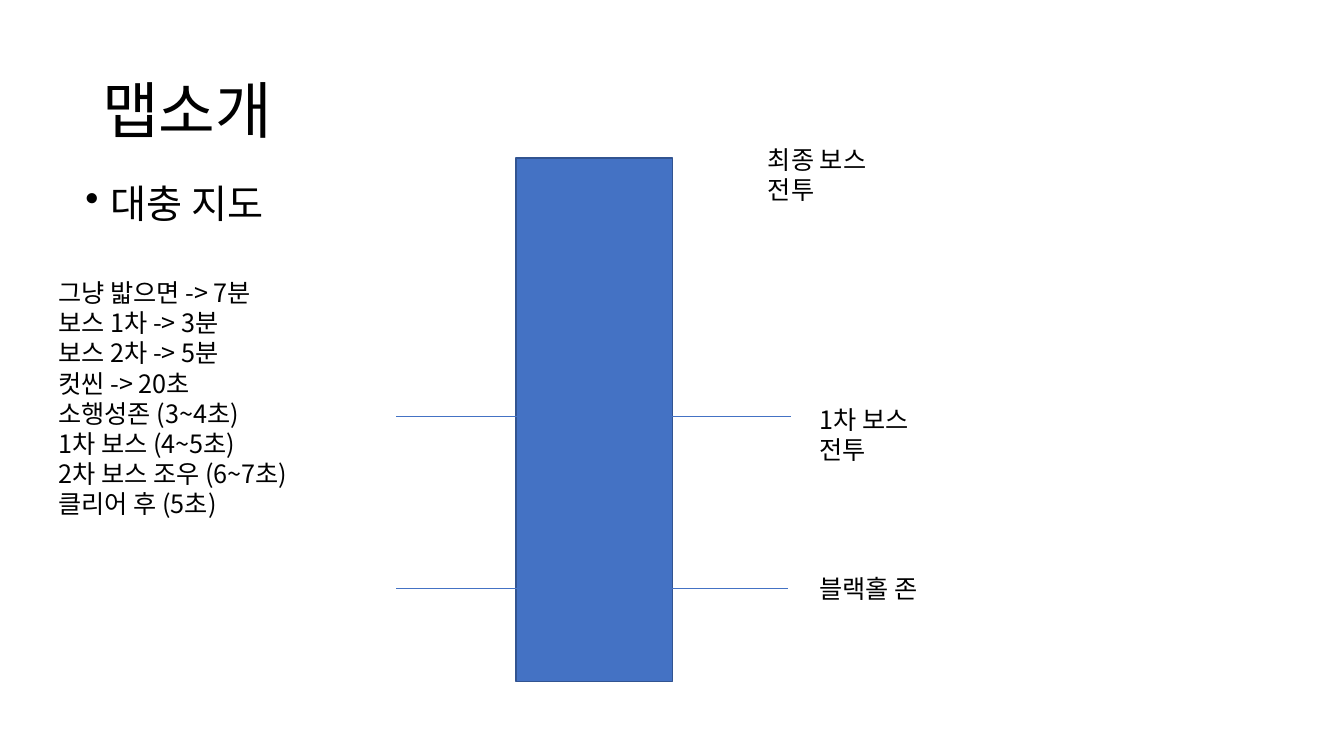
"""Build the map introduction slide."""
from lxml import etree
from pptx import Presentation
from pptx.dml.color import RGBColor
from pptx.enum.shapes import MSO_CONNECTOR, MSO_SHAPE
from pptx.enum.text import MSO_ANCHOR
from pptx.oxml.ns import qn
from pptx.util import Pt

STRAIGHT = MSO_CONNECTOR.STRAIGHT
RECTANGLE = MSO_SHAPE.RECTANGLE
TOP = MSO_ANCHOR.TOP
MIDDLE = MSO_ANCHOR.MIDDLE


def color(value):
    return RGBColor.from_string(value)


class MapSlide:
    font = "Noto Sans CJK KR"
    ink = "000000"
    accent = "4472C4"
    outline = "325491"

    def __init__(self, presentation):
        self.shapes = presentation.slides.add_slide(presentation.slide_layouts[6]).shapes

    def text(self, left, top, width, height, lines, size=18, anchor=TOP,
             spacing=None, before=None, bullet=None):
        box = self.shapes.add_textbox(Pt(left), Pt(top), Pt(width), Pt(height))
        frame = box.text_frame
        frame.word_wrap = True
        frame.vertical_anchor = anchor
        frame.text = "\n".join(lines)
        for paragraph in frame.paragraphs:
            paragraph.line_spacing = spacing
            paragraph.space_before = before
            paragraph.font.size = Pt(size)
            paragraph.font.color.rgb = color(self.ink)
            paragraph.font.name = self.font
            properties = paragraph._p.get_or_add_pPr()
            defaults = properties.find(qn("a:defRPr"))
            etree.SubElement(defaults, qn("a:ea"), typeface=self.font)
            if bullet:
                properties.set("marL", str(Pt(18)))
                properties.set("indent", str(-Pt(18)))
                mark = etree.Element(qn("a:buChar"), char=bullet)
                defaults.addprevious(mark)

    def bar(self, left, top, width, height):
        shape = self.shapes.add_shape(RECTANGLE, Pt(left), Pt(top), Pt(width), Pt(height))
        shape.shadow.inherit = False
        shape.fill.solid()
        shape.fill.fore_color.rgb = color(self.accent)
        shape.line.color.rgb = color(self.outline)
        shape.line.width = Pt(1)

    def level(self, left, right, y):
        connector = self.shapes.add_connector(STRAIGHT, Pt(left), Pt(y), Pt(right), Pt(y))
        connector.line.color.rgb = color(self.accent)
        connector.line.width = Pt(0.5)
        etree.SubElement(connector._element.spPr, qn("a:effectLst"))


def main():
    presentation = Presentation()
    presentation.slide_width = Pt(960)
    presentation.slide_height = Pt(540)
    slide = MapSlide(presentation)

    slide.text(66, 28.8, 828, 104.4, ["맵소개"], size=44, anchor=MIDDLE, spacing=0.9)
    slide.text(54, 128.2, 828, 342.7, ["대충 지도"], size=28, spacing=0.9,
               before=Pt(10), bullet="•")

    slide.bar(368.6, 113, 111.6, 373.7)
    for right, y in ((565.2, 297.4), (563, 420.5)):
        slide.level(283, right, y)

    for left, top, width, height, label in (
        (578.2, 285.1, 102.2, 51.1, "1차 보스 전투"),
        (541.4, 99.4, 102.2, 51.1, "최종 보스 전투"),
        (578.2, 406.1, 121, 28.8, "블랙홀 존"),
    ):
        slide.text(left, top, width, height, [label])

    slide.text(34.6, 194.4, 250.6, 203.8, [
        "그냥 밟으면 -> 7분",
        "보스 1차 -> 3분",
        "보스 2차 -> 5분",
        "컷씬 -> 20초",
        "소행성존 (3~4초)",
        "1차 보스 (4~5초)",
        "2차 보스 조우 (6~7초)",
        "클리어 후 (5초)",
    ])

    presentation.save("out.pptx")


if __name__ == "__main__":
    main()
